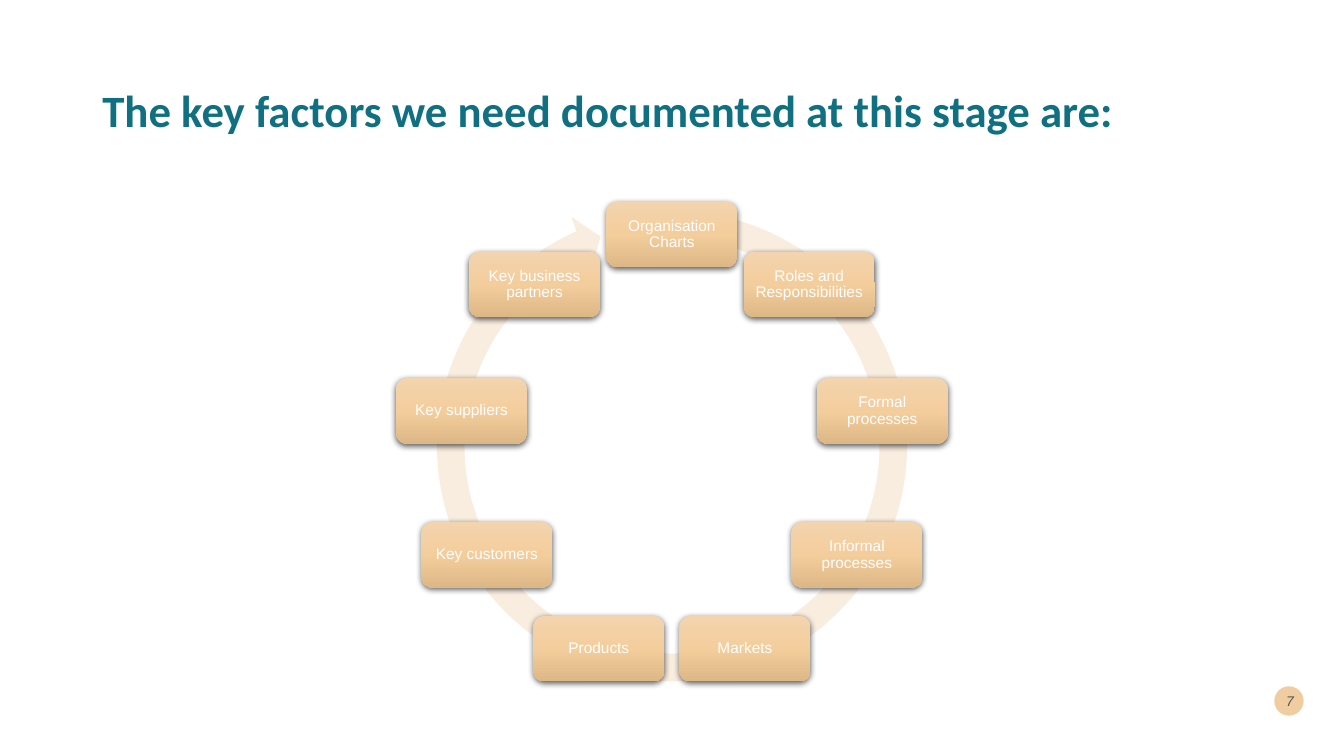
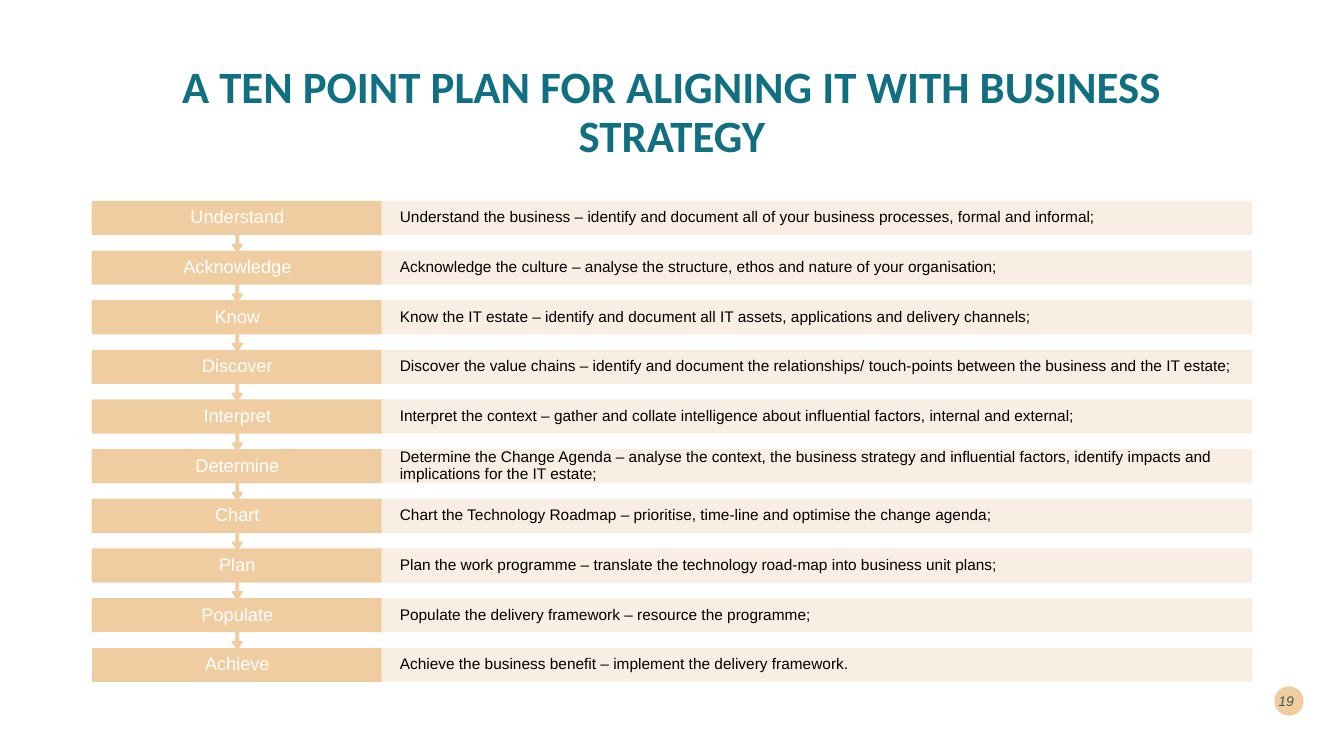
"""Build two slides: a cycle of key factors and a ten point plan."""
from dataclasses import dataclass
from math import cos, radians, sin

from lxml.etree import SubElement
from pptx import Presentation
from pptx.dml.color import RGBColor
from pptx.enum.shapes import MSO_SHAPE as Shape
from pptx.enum.text import MSO_ANCHOR as Anchor, PP_ALIGN as Align
from pptx.oxml.ns import qn
from pptx.util import Emu, Pt

COLS, ROWS = 160, 90
SLIDE_W, SLIDE_H = Emu(12192000), Emu(6858000)


@dataclass(frozen=True)
class Theme:
    """Colours, fonts and type sizes of the deck."""
    title: str = "107082"
    accent: str = "F0CDA1"
    pale: str = "F9EDE0"
    white: str = "FFFFFF"
    black: str = "000000"
    number: str = "00292E"
    gradient: tuple = ((0, "F3D4AE"), (50, "F4CD9D"), (100, "DEB786"))
    head_font: str = "Calibri"
    body_font: str = "Arial"
    title_pt: int = 32
    step_pt: int = 13
    text_pt: int = 11
    number_pt: int = 10


@dataclass(frozen=True)
class Area:
    """A rectangle in grid columns and rows."""
    x: float
    y: float
    w: float
    h: float

    def emu(self) -> tuple[int, int, int, int]:
        """Return left, top, width and height in EMU."""
        cw, rh = SLIDE_W / COLS, SLIDE_H / ROWS
        return tuple(round(v) for v in (self.x * cw, self.y * rh, self.w * cw, self.h * rh))


@dataclass(frozen=True)
class Style:
    """How one paragraph of text is set."""
    size: int
    color: str
    font: str
    align: Align = Align.CENTER
    bold: bool = False
    italic: bool = False
    inset: tuple[float, float] = (7.2, 3.6)
    spacing: float = 0.9
    opacity: int = 100


@dataclass(frozen=True)
class Step:
    """One point of the plan."""
    name: str
    text: str


T = Theme()
TITLE = Style(T.title_pt, T.title, T.head_font, bold=True)
TITLE_LEFT = Style(T.title_pt, T.title, T.head_font, Align.LEFT, bold=True)
NUMBER = Style(T.number_pt, T.number, T.body_font, Align.RIGHT, italic=True, spacing=1, opacity=70)
FACTOR = Style(T.text_pt, T.white, T.body_font, inset=(3.6, 3.6))
STEP = Style(T.step_pt, T.white, T.body_font, inset=(14.4, 0))
DETAIL = Style(T.text_pt, T.black, T.body_font, Align.LEFT, inset=(12.6, 0))

TITLE_AREA = Area(11, 4.8, 138, 17.4)
BADGE_AREA = Area(151.7, 81.7, 3.5, 3.5)
NUMBER_AREA = Area(150.5, 81, 4.7, 4.8)

RING_AREA = Area(50.2, 23.3, 59.6, 59.6)
CENTER_X, CENTER_Y, RADIUS = 80, 53.33, 25.43
FACTOR_W, FACTOR_H = 15.6, 7.8

PLAN_TOP, PLAN_PITCH = 24, 5.91
STEP_W, DETAIL_W = 34.5, 103.5
BAR_H, CALLOUT_H = 3.9, 6

FACTORS = (
    "Organisation Charts", "Roles and Responsibilities", "Formal processes",
    "Informal processes", "Markets", "Products", "Key customers",
    "Key suppliers", "Key business partners",
)
STEPS = (
    Step("Understand", "Understand the business – identify and document all of your business processes, formal and informal;"),
    Step("Acknowledge", "Acknowledge the culture – analyse the structure, ethos and nature of your organisation;"),
    Step("Know", "Know the IT estate – identify and document all IT assets, applications and delivery channels;"),
    Step("Discover", "Discover the value chains – identify and document the relationships/ touch-points between the business and the IT estate;"),
    Step("Interpret", "Interpret the context – gather and collate intelligence about influential factors, internal and external;"),
    Step("Determine", "Determine the Change Agenda – analyse the context, the business strategy and influential factors, identify impacts and implications for the IT estate;"),
    Step("Chart", "Chart the Technology Roadmap – prioritise, time-line and optimise the change agenda;"),
    Step("Plan", "Plan the work programme – translate the technology road-map into business unit plans;"),
    Step("Populate", "Populate the delivery framework – resource the programme;"),
    Step("Achieve", "Achieve the business benefit – implement the delivery framework."),
)


def set_opacity(element, percent: int) -> None:
    """Give every RGB colour below an element the same opacity."""
    for color in element.iter(qn("a:srgbClr")):
        SubElement(color, qn("a:alpha"), val=str(percent * 1000))


def write(sp, text: str, style: Style) -> None:
    """Set the text of a shape or text box in one style."""
    tf = sp.text_frame
    tf.word_wrap = True
    tf.vertical_anchor = Anchor.MIDDLE
    tf.margin_left = tf.margin_right = Pt(style.inset[0])
    tf.margin_top = tf.margin_bottom = Pt(style.inset[1])
    p = tf.paragraphs[0]
    p.text = text
    p.alignment, p.line_spacing = style.align, style.spacing
    p.font.name, p.font.size = style.font, Pt(style.size)
    p.font.bold, p.font.italic = style.bold, style.italic
    p.font.color.rgb = RGBColor.from_string(style.color)
    if style.opacity < 100:
        set_opacity(tf._txBody, style.opacity)


def add_text(s, area: Area, text: str, style: Style) -> None:
    """Add a text box."""
    write(s.shapes.add_textbox(*area.emu()), text, style)


def add_shape(s, kind: Shape, area: Area, color: str, outlined: bool = False):
    """Add a flat shape, with an outline of its own colour if asked."""
    sp = s.shapes.add_shape(kind, *area.emu())
    sp.shadow.inherit = False
    sp.fill.solid()
    sp.fill.fore_color.rgb = RGBColor.from_string(color)
    if outlined:
        sp.line.color.rgb = RGBColor.from_string(color)
        sp.line.width = Pt(1)
    else:
        sp.line.fill.background()
    return sp


def raise_card(sp) -> None:
    """Give a shape the vertical gradient and soft shadow of a card."""
    sp.fill.gradient()
    sp.fill.gradient_angle = 270
    sp_pr = sp._element.spPr
    stops = sp_pr.find(".//" + qn("a:gsLst"))
    for stop in list(stops):
        stops.remove(stop)
    for position, color in T.gradient:
        stop = SubElement(stops, qn("a:gs"), pos=str(position * 1000))
        SubElement(stop, qn("a:srgbClr"), val=color)
    shadow = SubElement(
        sp_pr.find(qn("a:effectLst")), qn("a:outerShdw"), blurRad=str(Pt(4.5)),
        dist=str(Pt(1.5)), dir="5400000", algn="ctr", rotWithShape="0")
    color = SubElement(shadow, qn("a:srgbClr"), val=T.black)
    SubElement(color, qn("a:alpha"), val="63000")


def add_slide(prs, title: str, style: Style, number: int):
    """Add a blank slide with its title and number badge."""
    s = prs.slides.add_slide(prs.slide_layouts[6])
    add_shape(s, Shape.OVAL, BADGE_AREA, T.accent)
    add_text(s, TITLE_AREA, title, style)
    add_text(s, NUMBER_AREA, str(number), NUMBER)
    return s


def draw_cycle(s) -> None:
    """Draw the factors clockwise on a circular arrow."""
    ring = add_shape(s, Shape.CIRCULAR_ARROW, RING_AREA, T.pale)
    head, end, start = (degrees * 0.6 for degrees in (5.51, 245.68, 280.38))
    for i, value in enumerate((0.055, head, end, start, 0.058)):
        ring.adjustments[i] = value
    for i, factor in enumerate(FACTORS):
        angle = radians(360 * i / len(FACTORS))
        x = CENTER_X + RADIUS * sin(angle) - FACTOR_W / 2
        y = CENTER_Y - RADIUS * cos(angle) - FACTOR_H / 2
        sp = add_shape(s, Shape.ROUNDED_RECTANGLE, Area(x, y, FACTOR_W, FACTOR_H), T.accent)
        raise_card(sp)
        write(sp, factor, FACTOR)


def draw_plan(s) -> None:
    """Draw the steps as rows joined by arrows."""
    left = TITLE_AREA.x
    for i, step in enumerate(STEPS):
        y = PLAN_TOP + i * PLAN_PITCH
        if i == len(STEPS) - 1:
            sp = add_shape(s, Shape.RECTANGLE, Area(left, y, STEP_W, BAR_H), T.accent, True)
        else:
            sp = add_shape(s, Shape.DOWN_ARROW_CALLOUT, Area(left, y, STEP_W, CALLOUT_H), T.accent, True)
            for j, value in enumerate((0.05, 0.1, 0.15, 0.65)):
                sp.adjustments[j] = value
        write(sp, step.name, STEP)
        bar = add_shape(s, Shape.RECTANGLE, Area(left + STEP_W, y, DETAIL_W, BAR_H), T.pale, True)
        set_opacity(bar._element.spPr, 90)
        write(bar, step.text, DETAIL)


def main() -> None:
    """Build and save the deck."""
    prs = Presentation()
    prs.slide_width, prs.slide_height = SLIDE_W, SLIDE_H
    draw_cycle(add_slide(prs, "The key factors we need documented at this stage are:", TITLE_LEFT, 7))
    draw_plan(add_slide(prs, "A TEN POINT PLAN FOR ALIGNING IT WITH BUSINESS STRATEGY", TITLE, 19))
    prs.save("out.pptx")


if __name__ == "__main__":
    main()
